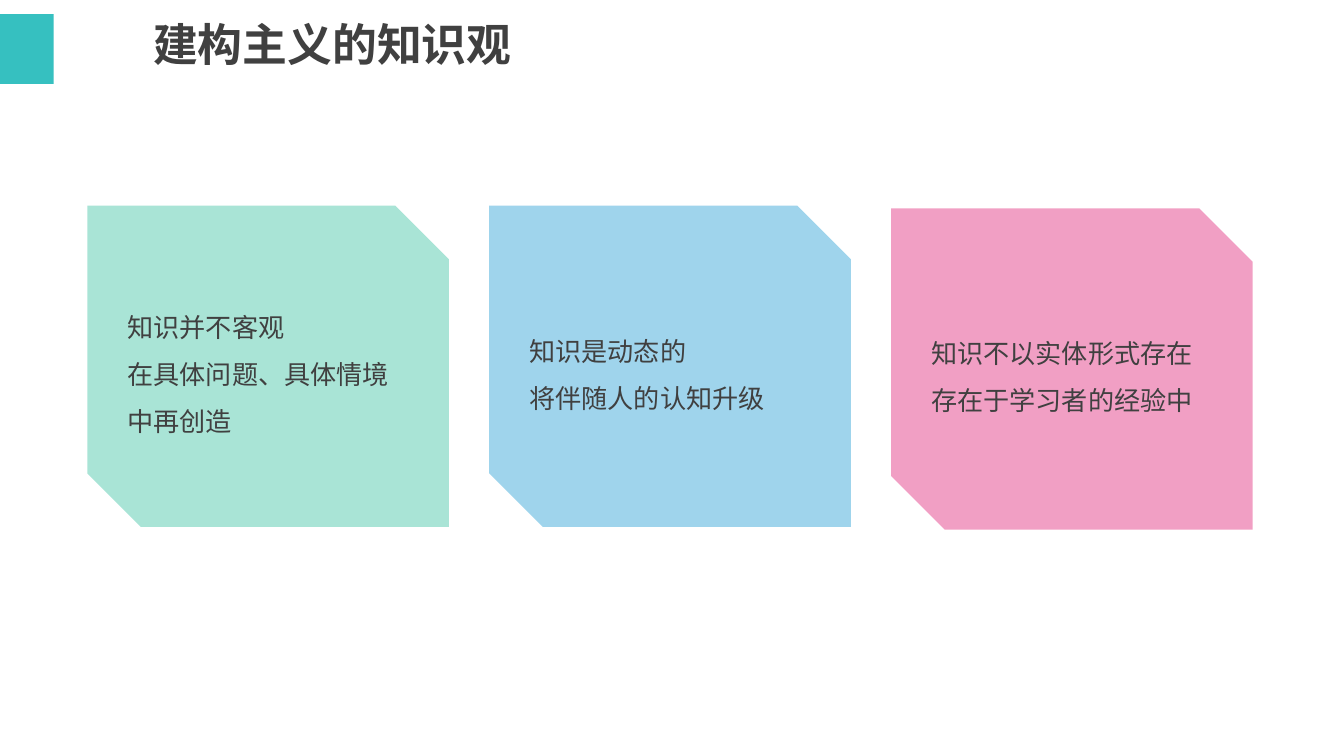
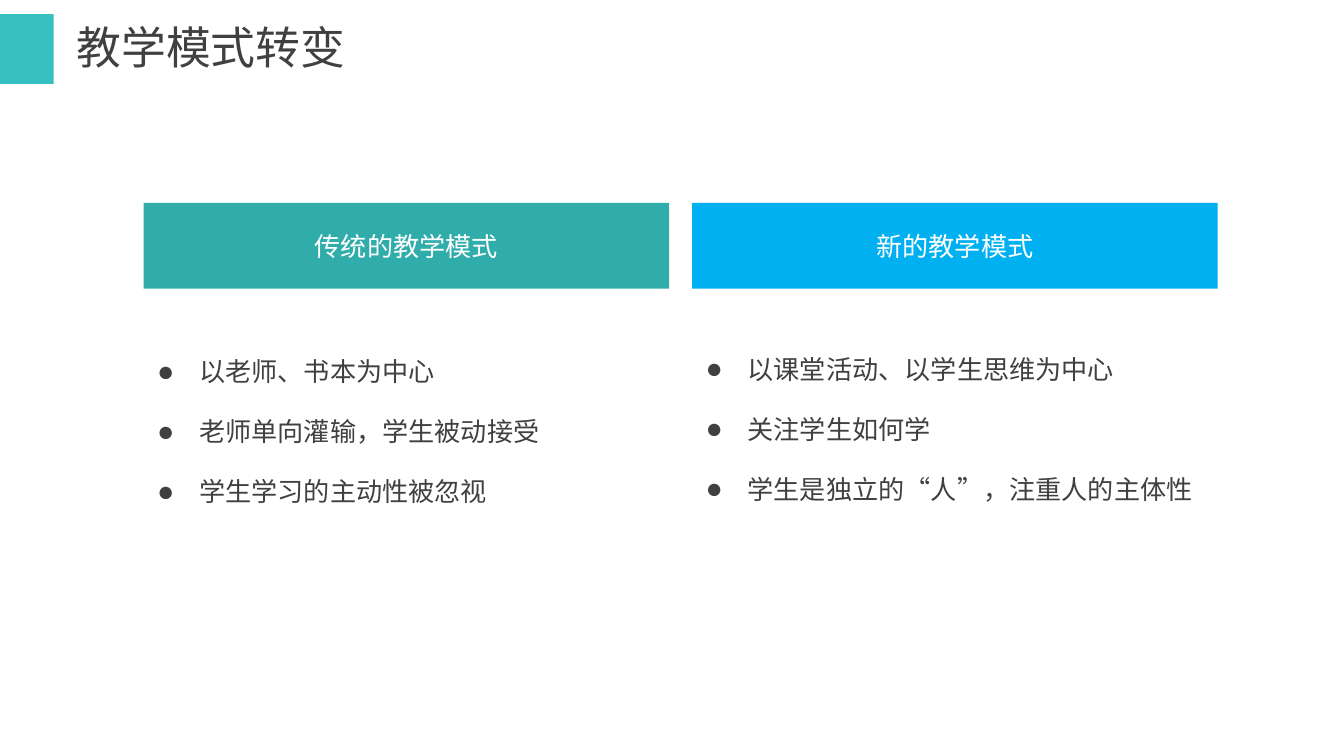
from lxml.etree import SubElement
from pptx import Presentation
from pptx.dml.color import RGBColor
from pptx.enum.shapes import MSO_SHAPE
from pptx.enum.text import MSO_ANCHOR, MSO_AUTO_SIZE, PP_ALIGN
from pptx.oxml.ns import qn
from pptx.util import Pt

FONT = "Noto Sans CJK SC"
COLORS = {
    "band": "36C0C0",
    "text": "404040",
    "white": "FFFFFF",
    "mint": "4CC7AA",
    "sky": "37A7D9",
    "pink": "E33884",
    "teal": "30ADAA",
    "blue": "00B0F0",
}
CARDS = [
    ("mint", 110.2, ["知识并不客观", "在具体问题、具体情境中再创造"]),
    ("sky", 110.2, ["知识是动态的", "将伴随人的认知升级"]),
    ("pink", 111.6, ["知识不以实体形式存在", "存在于学习者的经验中"]),
]
MODES = [
    ("传统的教学模式", "teal", (74.9, 277, 92.9),
     ["以老师、书本为中心", "老师单向灌输，学生被动接受", "学生学习的主动性被忽视"]),
    ("新的教学模式", "blue", (73.5, 281.5, 125.3),
     ["以课堂活动、以学生思维为中心", "关注学生如何学", "学生是独立的“人”，注重人的主体性"]),
]


def place(sp, x, y, w, h):
    sp.left, sp.top, sp.width, sp.height = Pt(x), Pt(y), Pt(w), Pt(h)


def add_bullet(p):
    pPr = p._p.get_or_add_pPr()
    pPr.set("marL", str(Pt(22.5)))
    pPr.set("indent", str(Pt(-22.5)))
    SubElement(pPr, qn("a:buSzPct")).set("val", "110000")
    SubElement(pPr, qn("a:buChar")).set("char", "●")


def write(tf, lines, size=14, color="text", bold=False, align=PP_ALIGN.LEFT,
          anchor=MSO_ANCHOR.TOP, spacing=1.0, after=0, bullet=False):
    tf.word_wrap = True
    tf.auto_size = MSO_AUTO_SIZE.NONE
    tf.vertical_anchor = anchor
    for i, line in enumerate(lines):
        p = tf.paragraphs[0] if i == 0 else tf.add_paragraph()
        if bullet:
            add_bullet(p)
        p.alignment = align
        p.line_spacing = spacing
        p.space_before, p.space_after = Pt(0), Pt(after)
        r = p.add_run()
        r.text = line
        r.font.size, r.font.bold, r.font.name = Pt(size), bold, FONT
        r.font.color.rgb = RGBColor.from_string(COLORS[color])
        SubElement(r._r.get_or_add_rPr(), qn("a:ea")).set("typeface", FONT)


def add_block(s, kind, color, x, y, w, h, opacity=None):
    sp = s.shapes.add_shape(kind, Pt(x), Pt(y), Pt(w), Pt(h))
    sp.shadow.inherit = False
    sp.fill.solid()
    sp.fill.fore_color.rgb = RGBColor.from_string(COLORS[color])
    sp.line.fill.background()
    if opacity:
        clr = sp.element.spPr.find(qn("a:solidFill"))[0]
        SubElement(clr, qn("a:alpha")).set("val", str(opacity * 1000))
    return sp


def add_master_band(prs, s):
    band = add_block(s, MSO_SHAPE.RECTANGLE, "band", 0, 7.5, 28.8, 37.5)
    band.element.nvSpPr.cNvPr.set("id", "20")
    prs.slide_master.shapes.element.insert(2, band.element)


def add_title(s, text, x, y, bold=False):
    sp = s.shapes.title
    place(sp, x, y, 607, 35.3)
    tf = sp.text_frame
    tf.margin_left = tf.margin_right = Pt(5)
    tf.margin_top = tf.margin_bottom = Pt(2.2)
    write(tf, [text], size=24, bold=bold)


def add_card(s, color, lines, x, y, w, h):
    sp = add_block(s, MSO_SHAPE.SNIP_2_DIAG_RECTANGLE, color, x, y, w, h, opacity=48)
    write(sp.text_frame, lines, anchor=MSO_ANCHOR.MIDDLE, spacing=1.5)


def add_mode(s, body, header, color, list_box, lines, x, y, w, h):
    sp = add_block(s, MSO_SHAPE.RECTANGLE, color, x, y, w, h)
    write(sp.text_frame, [header], color="white", align=PP_ALIGN.CENTER,
          anchor=MSO_ANCHOR.MIDDLE)
    dy, list_w, list_h = list_box
    place(body, x, y + dy, list_w, list_h)
    write(body.text_frame, lines, spacing=1.2, after=12, bullet=True)


def knowledge_slide(prs):
    s = prs.slides.add_slide(prs.slide_layouts[5])
    add_master_band(prs, s)
    add_title(s, "建构主义的知识观", 77, 6.5, bold=True)
    for i, (color, y, lines) in enumerate(CARDS):
        add_card(s, color, lines, 46.8 + i * 215.3, y, 193.7, 172.1)


def modes_slide(prs):
    s = prs.slides.add_slide(prs.slide_layouts[3])
    add_title(s, "教学模式转变", 36, 8.6)
    for i, (header, color, list_box, lines) in enumerate(MODES):
        add_mode(s, s.placeholders[i + 1], header, color, list_box, lines,
                 77 + i * 293.8, 108.7, 281.5, 46)


def main():
    prs = Presentation()
    prs.slide_width, prs.slide_height = Pt(720), Pt(405)
    knowledge_slide(prs)
    modes_slide(prs)
    prs.save("out.pptx")


if __name__ == "__main__":
    main()
